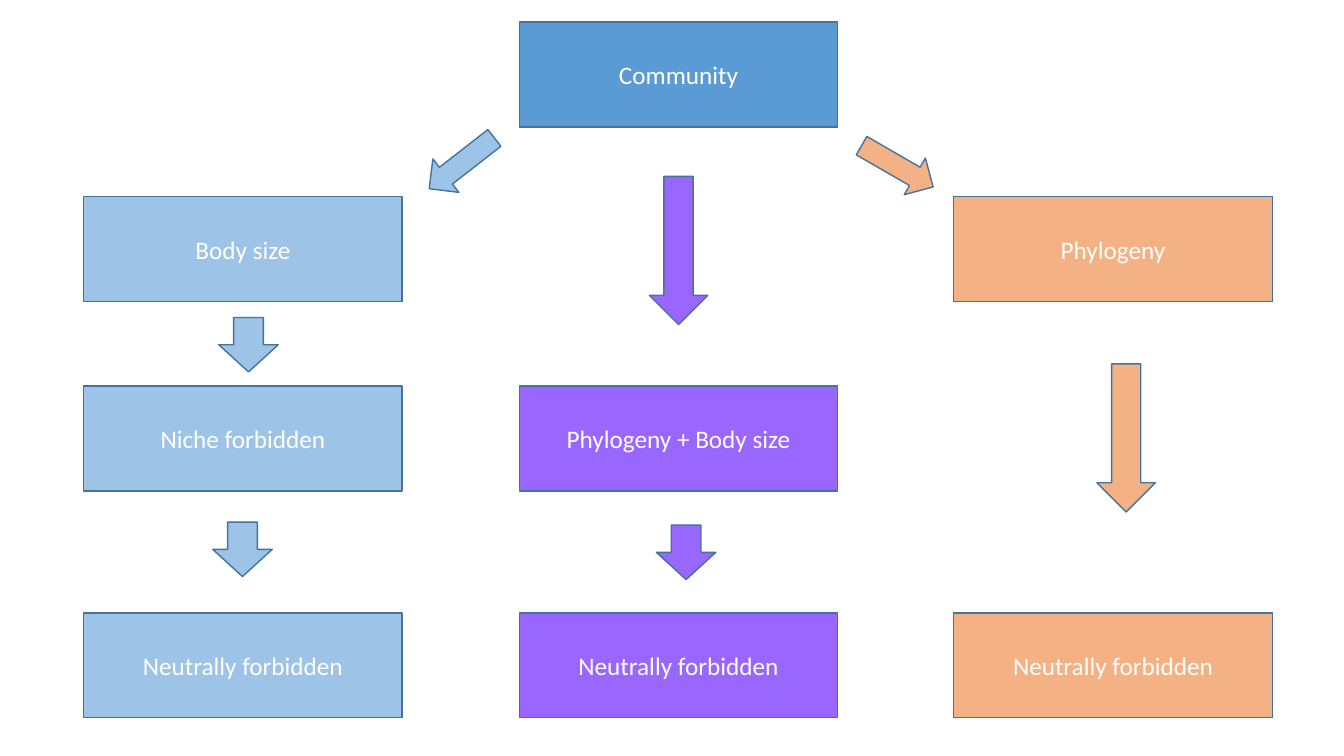
from pptx import Presentation
from pptx.dml.color import RGBColor as RGB
from pptx.enum.shapes import MSO_SHAPE as SHAPE
from pptx.enum.text import MSO_ANCHOR as ANCHOR, PP_ALIGN as ALIGN
from pptx.util import Inches, Pt

HUES = {"blue": "5B9BD5", "pale": "9DC3E6", "violet": "9966FF",
        "peach": "F4B183", "edge": "43739E", "white": "FFFFFF"}
COLS = [0.83, 5.15, 9.46]
ROWS = [0.22, 1.95, 3.83, 6.08]
BOX = (3.16, 1.04)

deck = Presentation()
deck.slide_width, deck.slide_height = Inches(13.33), Inches(7.5)
slide = deck.slides.add_slide(deck.slide_layouts[6])


def add_form(kind, left, top, size, hue):
    """Draw a filled preset shape with the common outline."""
    form = slide.shapes.add_shape(kind, *map(Inches, (left, top, *size)))
    form.shadow.inherit = False
    form.fill.solid()
    form.fill.fore_color.rgb = RGB.from_string(HUES[hue])
    form.line.color.rgb = RGB.from_string(HUES["edge"])
    form.line.width = Pt(1)
    return form


# Boxes: column, row, label, colour
boxes = [
    (1, 0, "Community", "blue"),
    (2, 1, "Phylogeny", "peach"),
    (0, 1, "Body size", "pale"),
    (0, 2, "Niche forbidden", "pale"),
    (0, 3, "Neutrally forbidden", "pale"),
    (1, 3, "Neutrally forbidden", "violet"),
    (2, 3, "Neutrally forbidden", "peach"),
    (1, 2, "Phylogeny + Body size", "violet"),
]
for col, row, label, hue in boxes:
    frame = add_form(SHAPE.RECTANGLE, COLS[col], ROWS[row], BOX, hue).text_frame
    frame.text = label
    frame.vertical_anchor = ANCHOR.MIDDLE
    para = frame.paragraphs[0]
    para.alignment = ALIGN.CENTER
    font = para.runs[0].font
    font.name, font.size = "Calibri", Pt(18)
    font.color.rgb = RGB.from_string(HUES["white"])

# Arrows: kind, left, top, size, turn, colour
SLANT, SHORT, LONG = (0.82, 0.42), (0.59, 0.54), (0.58, 1.47)
RIGHT, DOWN = SHAPE.RIGHT_ARROW, SHAPE.DOWN_ARROW
arrows = [
    (RIGHT, 8.49, 1.44, SLANT, 30, "peach"),
    (RIGHT, 4.17, 1.41, SLANT, 142.1, "pale"),
    (DOWN, 2.17, 3.15, SHORT, 0, "pale"),
    (DOWN, 2.11, 5.18, SHORT, 0, "pale"),
    (DOWN, 6.51, 5.21, SHORT, 0, "violet"),
    (DOWN, 10.88, 3.61, LONG, 0, "peach"),
    (DOWN, 6.44, 1.75, LONG, 0, "violet"),
]
for kind, left, top, size, turn, hue in arrows:
    add_form(kind, left, top, size, hue).rotation = turn

deck.save("out.pptx")
